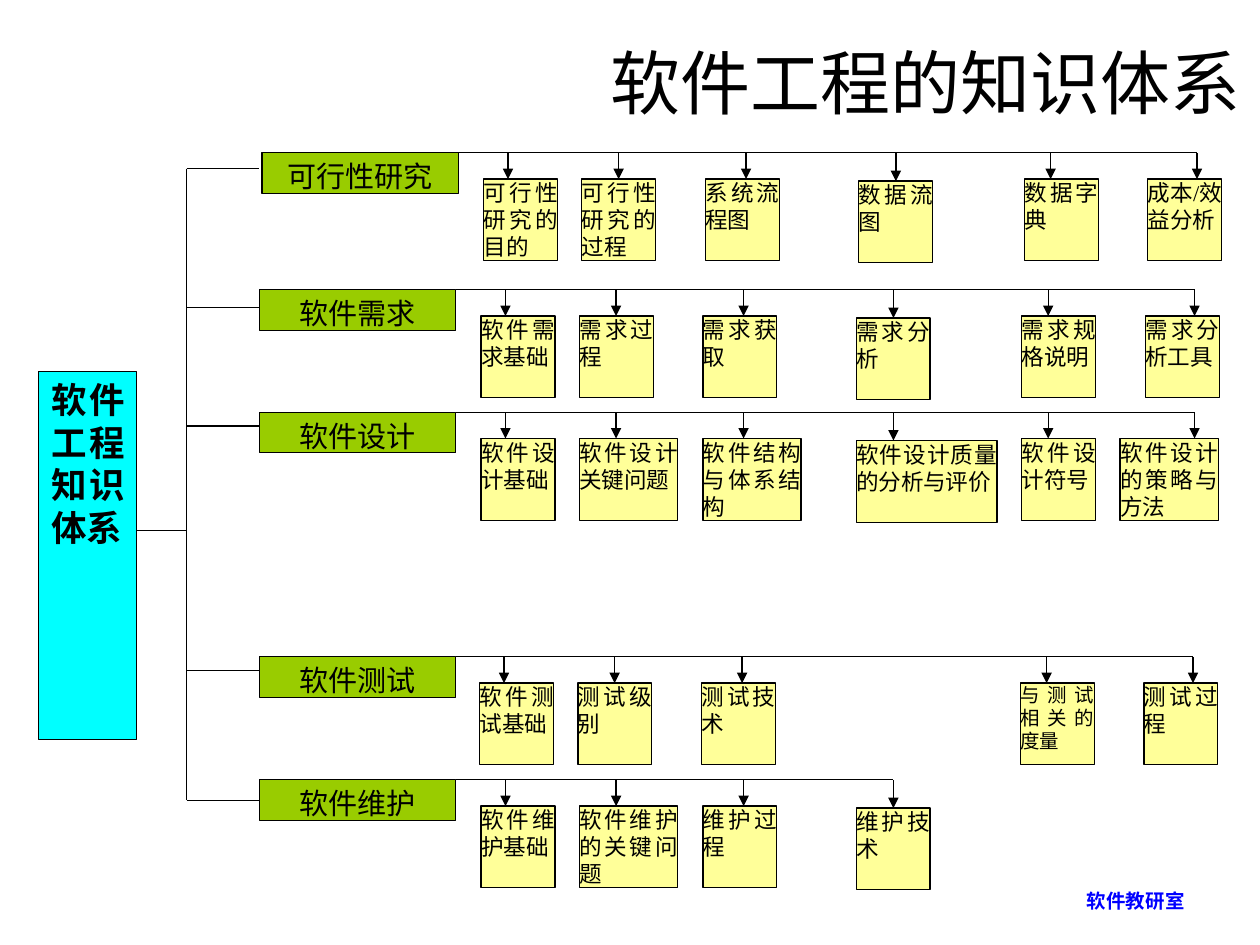
import pptx
import pptx.util
import pptx.dml.color
import pptx.enum.shapes
import pptx.enum.text
import pptx.oxml.ns
from lxml import etree

Cm, Pt = pptx.util.Cm, pptx.util.Pt
ALIGN = pptx.enum.text.PP_ALIGN
ANCHOR = pptx.enum.text.MSO_ANCHOR
qn = pptx.oxml.ns.qn

TITLE = "软件工程的知识体系"
ROOT = "软件工程知识体系"
FOOTER = "软件教研室"
# All lengths in cm. Each row: name, rail height, stub height, shift, topics.
# A topic is its text, or (text, changes to the usual box); None is a gap.
ROWS = [
    ("可行性研究", 3.08, 3.4, 0.05,
     ["可行性研究的目的", "可行性研究的过程", "系统流程图", "数据流图",
      "数据字典", "成本/效益分析"]),
    ("软件需求", 5.84, 6.2, 0,
     ["软件需求基础", "需求过程", "需求获取", "需求分析",
      "需求规格说明", "需求分析工具"]),
    ("软件设计", 8.31, 8.59, 0,
     ["软件设计基础", ("软件设计关键问题", {"wide": 1.98}),
      ("软件结构与体系结构", {"wide": 1.98}),
      ("软件设计质量的分析与评价", {"wide": 2.84}), "软件设计符号",
      ("软件设计的策略与方法", {"wide": 1.98, "left": 22.58})]),
    ("软件测试", 13.24, 13.51, -0.03,
     ["软件测试基础", "测试级别", "测试技术", None,
      ("与测试相关的度量", {"size": 11.1}), "测试过程"]),
    ("软件维护", 15.72, 16.13, 0,
     ["软件维护基础", ("软件维护的关键问题", {"wide": 1.98}),
      "维护过程", "维护技术"]),
]
# Left edge of the topic box, arrow position, extra drop of the box
COLS = [(9.7, 10.19, 0), (11.68, 12.42, 0), (14.17, 14.99, 0),
        (17.26, 18.01, 0.04), (20.6, 21.13, 0), (23.09, 24.08, 0)]
LABEL_X, LABEL_W, LABEL_H = 5.23, 3.96, 0.82
TOPIC_W, TOPIC_H, DROP = 1.49, 1.65, 0.53
TRUNK = 3.76

TOPIC = {"size": 12.9, "name": "Times New Roman"}
LABEL = {"size": 16.6, "name": "Noto Sans CJK SC"}
HEAD = {"size": 20.3, "name": "Times New Roman", "bold": True}
NOTE = {"size": 11.1, "name": "Calibri", "bold": True}


def color(hexa):
    return pptx.dml.color.RGBColor.from_string(hexa)


def write(frame, text, form, align, ink="000000", lead=1.2):
    """Put one paragraph in a frame; lead is line pitch over text size."""
    frame.word_wrap = True
    para = frame.paragraphs[0]
    para.alignment = align
    if lead:
        para.line_spacing = Pt(round(form["size"] * lead, 1))
    run = para.add_run()
    run.text = text
    for key, val in form.items():
        setattr(run.font, key, Pt(val) if key == "size" else val)
    run.font.color.rgb = color(ink)


def box(slide, place, fill, text, form, align, inset=None):
    rect = slide.shapes.add_shape(
        pptx.enum.shapes.MSO_SHAPE.RECTANGLE, *map(Cm, place))
    rect.shadow.inherit = False
    rect.fill.solid()
    rect.fill.fore_color.rgb = color(fill)
    rect.line.color.rgb = color("000000")
    rect.line.width = Pt(0.75)
    frame = rect.text_frame
    frame.vertical_anchor = ANCHOR.TOP
    if inset is not None:
        for side in ("left", "top", "right", "bottom"):
            setattr(frame, "margin_" + side, Cm(inset))
    write(frame, text, form, align)


def line(slide, x1, y1, x2, y2, arrow=False):
    link = slide.shapes.add_connector(
        pptx.enum.shapes.MSO_CONNECTOR.STRAIGHT, *map(Cm, (x1, y1, x2, y2)))
    link.line.color.rgb = color("000000")
    link.line.width = Pt(0.75)
    props = link._element.spPr
    if arrow:
        etree.SubElement(props.find(qn("a:ln")), qn("a:tailEnd"),
                         type="triangle")
    etree.SubElement(props, qn("a:effectLst"))


def branch(slide, name, top, stub, shift, topics):
    """Draw a label with its stub, rail, arrows and topic boxes."""
    left = LABEL_X + max(shift, 0)
    line(slide, TRUNK, stub, LABEL_X, stub)
    box(slide, (left, top, LABEL_W, LABEL_H), "99CC00", name, LABEL,
        ALIGN.CENTER)
    line(slide, left + LABEL_W, top, COLS[len(topics) - 1][1] + shift, top)
    for topic, (edge, tip, extra) in zip(topics, COLS):
        if topic is None:
            continue
        text, diff = (topic, {}) if isinstance(topic, str) else topic
        line(slide, tip + shift, top, tip + shift, top + DROP + extra, True)
        place = (diff.get("left", edge) + shift, top + DROP + extra,
                 diff.get("wide", TOPIC_W), TOPIC_H)
        form = {**TOPIC, "size": diff.get("size", TOPIC["size"])}
        box(slide, place, "FFFF99", text, form, ALIGN.JUSTIFY, 0)


def main():
    deck = pptx.Presentation()
    deck.slide_width, deck.slide_height = Cm(25.4), Cm(19.05)
    slide = deck.slides.add_slide(deck.slide_layouts[5])

    title = slide.shapes.title
    spot = {"left": 11.79, "top": 0.91, "width": 13.46, "height": 1.47}
    for key, val in spot.items():
        setattr(title, key, Cm(val))
    title.text_frame.auto_size = pptx.enum.text.MSO_AUTO_SIZE.NONE
    title.text_frame.vertical_anchor = ANCHOR.MIDDLE
    write(title.text_frame, TITLE, {"size": 40, "name": "Calibri"},
          ALIGN.RIGHT, lead=None)

    box(slide, (0.78, 7.49, 1.98, 7.42), "00FFFF", ROOT, HEAD, ALIGN.JUSTIFY)
    line(slide, 2.76, 10.69, TRUNK, 10.69)
    line(slide, TRUNK, ROWS[0][2], TRUNK, ROWS[-1][2])
    for row in ROWS:
        branch(slide, *row)

    note = slide.shapes.add_textbox(Cm(18.21), Cm(17.65), Cm(5.92), Cm(1.02))
    note.text_frame.vertical_anchor = ANCHOR.MIDDLE
    write(note.text_frame, FOOTER, NOTE, ALIGN.RIGHT, "0000FF", None)
    deck.save("out.pptx")


if __name__ == "__main__":
    main()
